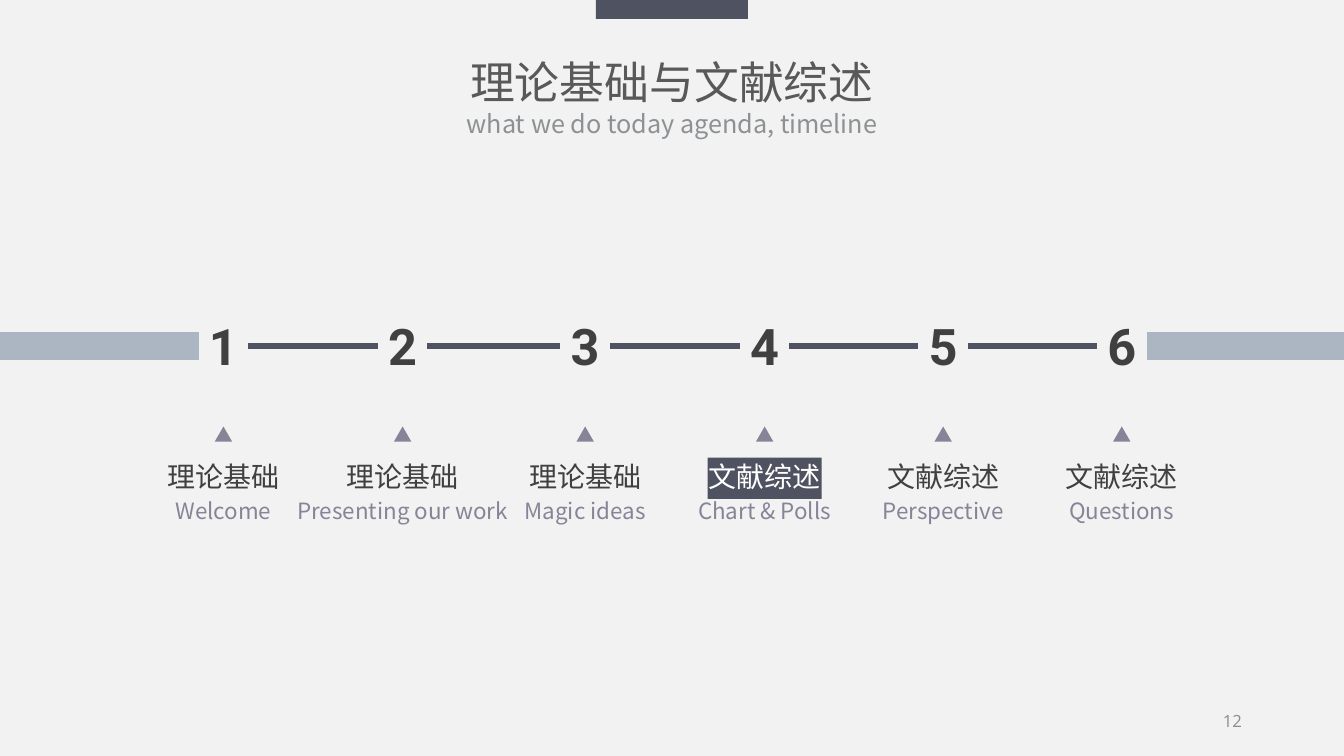
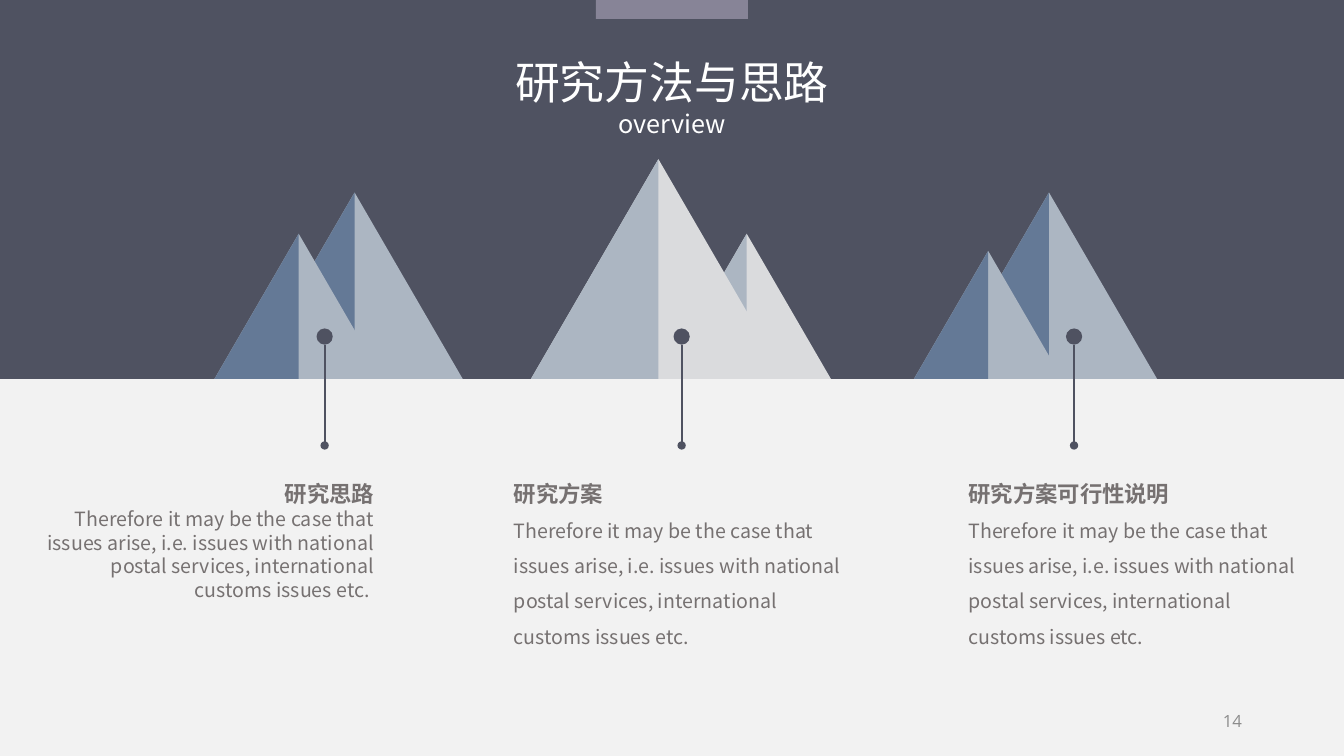
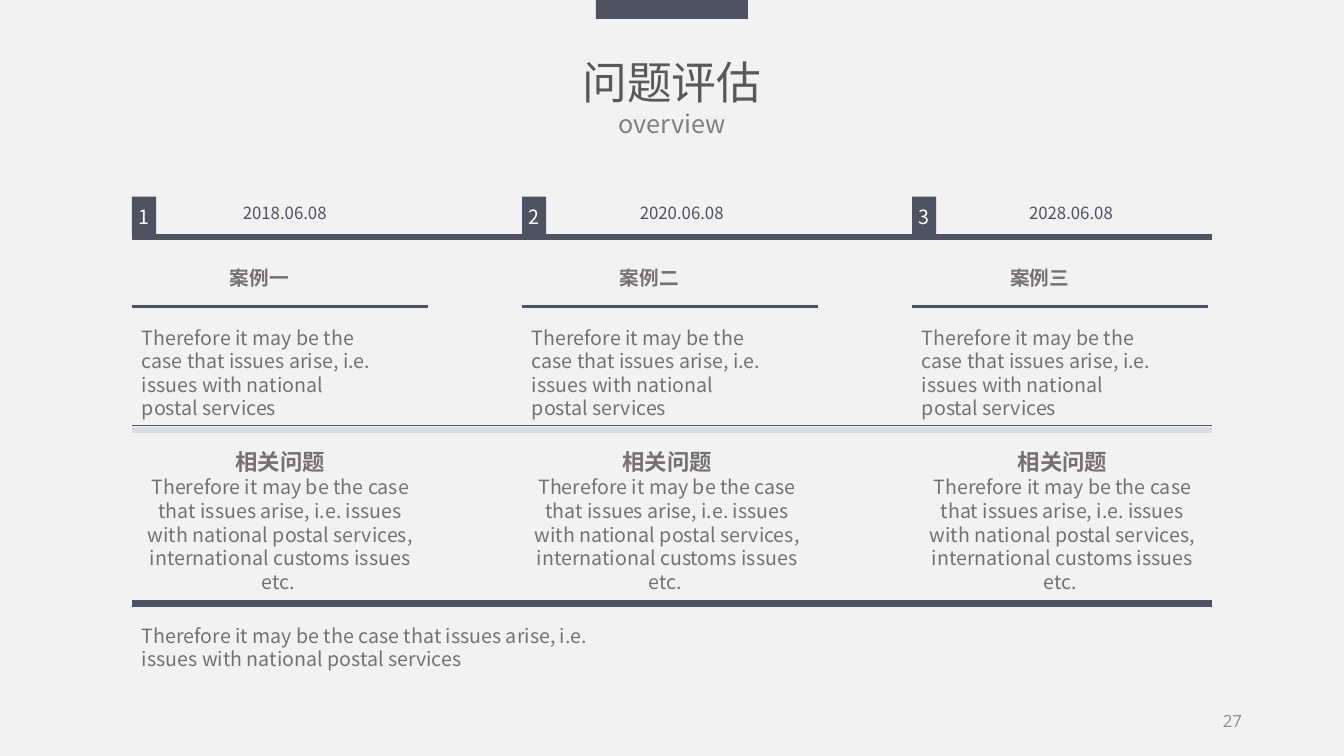
"""Build three thesis slides: a timeline, a mountain overview and a case review."""
from dataclasses import dataclass
from itertools import pairwise

from lxml.etree import SubElement
from pptx import Presentation
from pptx.dml.color import RGBColor
from pptx.enum.shapes import MSO_CONNECTOR, MSO_SHAPE
from pptx.enum.text import MSO_ANCHOR, PP_ALIGN
from pptx.oxml.ns import qn
from pptx.util import Pt

SLATE = RGBColor(0x4F, 0x52, 0x61)
MAUVE = RGBColor(0x87, 0x84, 0x97)
STEEL = RGBColor(0x64, 0x79, 0x96)
MIST = RGBColor(0xAC, 0xB6, 0xC2)
SILVER = RGBColor(0xDA, 0xDB, 0xDD)
PAPER = RGBColor(0xF2, 0xF2, 0xF2)
WHITE = RGBColor(0xFF, 0xFF, 0xFF)
INK = RGBColor(0x40, 0x40, 0x40)
TITLE_GRAY = RGBColor(0x59, 0x59, 0x59)
COOL_GRAY = RGBColor(0x8D, 0x91, 0x93)
MID_GRAY = RGBColor(0x80, 0x80, 0x80)
PAGE_GRAY = RGBColor(0x8C, 0x8C, 0x8C)
BODY_GRAY = RGBColor(0x76, 0x71, 0x71)

CJK_FONT = "Noto Sans CJK SC"
HEADING_FONT = "Roboto"
PAGE_FONT = "Open Sans"

WIDTH, HEIGHT = 960, 540
HORIZON = 270.7
SHORT_TEXT = ("Therefore it may be the case that issues arise, i.e. "
              "issues with national postal services")
LONG_TEXT = SHORT_TEXT + ", international customs issues etc."


@dataclass
class Line:
    """One paragraph of text with its format."""
    text: str
    size: float
    color: RGBColor
    font: str = CJK_FONT
    bold: bool = False
    spacing: float = 1.0


def write_lines(text_frame, lines, align):
    """Fill a text frame with formatted paragraphs."""
    text_frame.text = "\n".join(line.text for line in lines)
    for paragraph, line in zip(text_frame.paragraphs, lines):
        paragraph.alignment = align
        paragraph.line_spacing = line.spacing
        for run in paragraph.runs:
            run.font.size = Pt(line.size)
            run.font.bold = line.bold
            run.font.color.rgb = line.color
            run.font.name = line.font
            SubElement(run.font._element, qn("a:ea"), typeface=CJK_FONT)


def add_text(slide, left, top, width, height, lines, align=PP_ALIGN.LEFT,
             wrap=True, anchor=MSO_ANCHOR.TOP):
    """Add a text box."""
    box = slide.shapes.add_textbox(Pt(left), Pt(top), Pt(width), Pt(height))
    box.text_frame.word_wrap = wrap
    box.text_frame.vertical_anchor = anchor
    write_lines(box.text_frame, lines, align)
    return box


def add_label(slide, center, top, width, height, *lines):
    """Add unwrapped text centred on a vertical axis."""
    return add_text(slide, center - width / 2, top, width, height, lines,
                    PP_ALIGN.CENTER, wrap=False)


def paint(shape, color):
    """Give a shape a plain fill without outline or shadow."""
    shape.shadow.inherit = False
    shape.fill.solid()
    shape.fill.fore_color.rgb = color
    shape.line.fill.background()
    return shape


def add_block(slide, kind, left, top, width, height, color):
    """Add a plain preset shape."""
    return paint(slide.shapes.add_shape(
        kind, Pt(left), Pt(top), Pt(width), Pt(height)), color)


def add_line(slide, start, end, color, weight):
    """Add a straight line between two points."""
    line = slide.shapes.add_connector(
        MSO_CONNECTOR.STRAIGHT, Pt(start[0]), Pt(start[1]), Pt(end[0]), Pt(end[1]))
    line.line.color.rgb = color
    line.line.width = Pt(weight)
    SubElement(line._element.spPr, qn("a:effectLst"))
    return line


def add_slide(presentation):
    """Add a blank slide."""
    return presentation.slides.add_slide(presentation.slide_layouts[6])


def add_frame(slide, title, subtitle, page, title_color=TITLE_GRAY,
              subtitle_color=MID_GRAY, tab_color=SLATE):
    """Add the top tab, the title pair and the page number."""
    add_block(slide, MSO_SHAPE.RECTANGLE, 425.6, 0, 108.7, 13.5, tab_color)
    add_label(slide, WIDTH / 2, 35.2, 320, 67.7, Line(title, 32, title_color),
              Line(subtitle, 18, subtitle_color))
    add_text(slide, 863.3, 500.4, 31, 28.8,
             [Line(str(page), 12, PAGE_GRAY, PAGE_FONT)],
             PP_ALIGN.RIGHT, anchor=MSO_ANCHOR.MIDDLE)


def add_step(slide, number, center, label, caption, active):
    """Add one timeline step and return its number box."""
    if active:
        add_block(slide, MSO_SHAPE.RECTANGLE, center - 40.7, 326.9, 81.4, 29.5, SLATE)
    add_block(slide, MSO_SHAPE.ISOSCELES_TRIANGLE, center - 6.2, 304.6, 12.4, 10.8, MAUVE)
    add_label(slide, center, 324.8, 95, 31.7, Line(label, 20, WHITE if active else INK))
    add_label(slide, center, 351.3, 172, 26.6, Line(caption, 16, MAUVE))
    return add_label(slide, center, 221.8, 35.4, 51.2,
                     Line(str(number), 36, INK, HEADING_FONT, True))


def build_timeline(presentation):
    """Build the six-step timeline slide."""
    slide = add_slide(presentation)
    add_frame(slide, "理论基础与文献综述", "what we do today agenda, timeline", 12,
              subtitle_color=COOL_GRAY)
    steps = [(159.6, "理论基础", "Welcome"),
             (287.6, "理论基础", "Presenting our work"),
             (418, "理论基础", "Magic ideas"),
             (546.2, "文献综述", "Chart & Polls"),
             (673.7, "文献综述", "Perspective"),
             (801.3, "文献综述", "Questions")]
    numbers = [add_step(slide, number, *step, active=number == 4)
               for number, step in enumerate(steps, 1)]
    axis = 247.4
    for before, after in pairwise(numbers):
        link = add_line(slide, (0, axis), (WIDTH, axis), SLATE, 4.5)
        link.begin_connect(before, 3)
        link.end_connect(after, 1)
    lead_in = add_line(slide, (0, axis), (WIDTH, axis), MIST, 20)
    lead_in.end_connect(numbers[0], 1)
    lead_out = add_line(slide, (0, axis), (WIDTH, axis), MIST, 20)
    lead_out.begin_connect(numbers[-1], 3)
    lead_out.end_x = Pt(WIDTH)


def add_peak(slide, center, height, light, shade):
    """Add a mountain with a shaded left half standing on the horizon."""
    width = height * 1.16
    left, top = center - width / 2, HORIZON - height
    add_block(slide, MSO_SHAPE.ISOSCELES_TRIANGLE, left, top, width, height, light)
    outline = slide.shapes.build_freeform(Pt(center), Pt(top))
    outline.add_line_segments([(Pt(center), Pt(HORIZON)), (Pt(left), Pt(HORIZON))])
    paint(outline.convert_to_shape(), shade)


def add_pin(slide, center):
    """Add a pin that leads from a mountain to its text."""
    size, top = 11.6, 234.6
    add_block(slide, MSO_SHAPE.OVAL, center - size / 2, top, size, size, SLATE)
    stem = add_line(slide, (center, top + size), (center, 318.2), SLATE, 1.5)
    SubElement(stem.line._get_or_add_ln(), qn("a:tailEnd"), type="oval")


def build_mountains(presentation):
    """Build the research method slide."""
    slide = add_slide(presentation)
    add_block(slide, MSO_SHAPE.RECTANGLE, 0, 0, WIDTH, HORIZON, SLATE)
    add_frame(slide, "研究方法与思路", "overview", 14, WHITE, WHITE, MAUVE)
    peaks = [(253.3, 133.2, MIST, STEEL), (213.4, 103.7, MIST, STEEL),
             (749.3, 133.2, MIST, STEEL), (705.9, 91.4, MIST, STEEL),
             (533.4, 103.7, SILVER, MIST), (470.3, 157, SILVER, MIST)]
    for peak in peaks:
        add_peak(slide, *peak)
    topics = [(231.9, 20.2, "研究思路", LONG_TEXT + " ", PP_ALIGN.RIGHT, 1.0),
              (486.9, 360, "研究方案", LONG_TEXT, PP_ALIGN.LEFT, 1.5),
              (767.2, 684.7, "研究方案可行性说明", LONG_TEXT, PP_ALIGN.LEFT, 1.5)]
    for pin, left, heading, body, align, spacing in topics:
        add_pin(slide, pin)
        add_text(slide, left, 329.8, 254.2, 138,
                 [Line(heading, 16, BODY_GRAY, HEADING_FONT, True, 1.5),
                  Line(body, 14, BODY_GRAY, spacing=spacing)], align)


def add_case(slide, number, left, heading, date, date_center, issue_center):
    """Add one column of the case review."""
    badge = add_block(slide, MSO_SHAPE.RECTANGLE, left, 140.4, 17.3, 28.4, SLATE)
    frame = badge.text_frame
    frame.margin_left = frame.margin_right = 0
    frame.word_wrap = False
    frame.vertical_anchor = MSO_ANCHOR.MIDDLE
    write_lines(frame, [Line(str(number), 14, WHITE)], PP_ALIGN.CENTER)
    add_label(slide, date_center, 141.1, 81.4, 21.6, Line(date, 12, SLATE))
    add_label(slide, left + 91, 178, 57, 30.2,
              Line(heading, 14, BODY_GRAY, HEADING_FONT, True, 1.5))
    add_line(slide, (left, 218.9), (left + 211.7, 218.9), SLATE, 2)
    add_text(slide, left, 229, 182.9, 74.9, [Line(SHORT_TEXT, 14, BODY_GRAY)])
    add_text(slide, issue_center - 106, 316.8, 212, 111.6,
             [Line("相关问题", 16, BODY_GRAY, HEADING_FONT, True),
              Line(LONG_TEXT + " ", 14, BODY_GRAY)], PP_ALIGN.CENTER)


def build_cases(presentation):
    """Build the three-case review slide."""
    slide = add_slide(presentation)
    add_frame(slide, "问题评估", "overview", 27)
    left, right, step = 94.3, 866, 278.6
    for y, color, weight in [(169.2, SLATE, 4.5), (307.4, SILVER, 4.5),
                             (304.1, SLATE, 1), (431.2, SLATE, 4.5)]:
        add_line(slide, (left, y), (right, y), color, weight)
    cases = [("案例一", "2018.06.08", 203.4, 200.2),
             ("案例二", "2020.06.08", 487, 476.6),
             ("案例三", "2028.06.08", 765, 758.9)]
    for index, case in enumerate(cases):
        add_case(slide, index + 1, left + index * step, *case)
    add_text(slide, left, 442.1, 373.7, 41, [Line(SHORT_TEXT, 14, BODY_GRAY)])


def main():
    """Build and save the presentation."""
    presentation = Presentation()
    presentation.slide_width, presentation.slide_height = Pt(WIDTH), Pt(HEIGHT)
    background = presentation.slide_master.background.fill
    background.solid()
    background.fore_color.rgb = PAPER
    build_timeline(presentation)
    build_mountains(presentation)
    build_cases(presentation)
    presentation.save("out.pptx")


if __name__ == "__main__":
    main()
